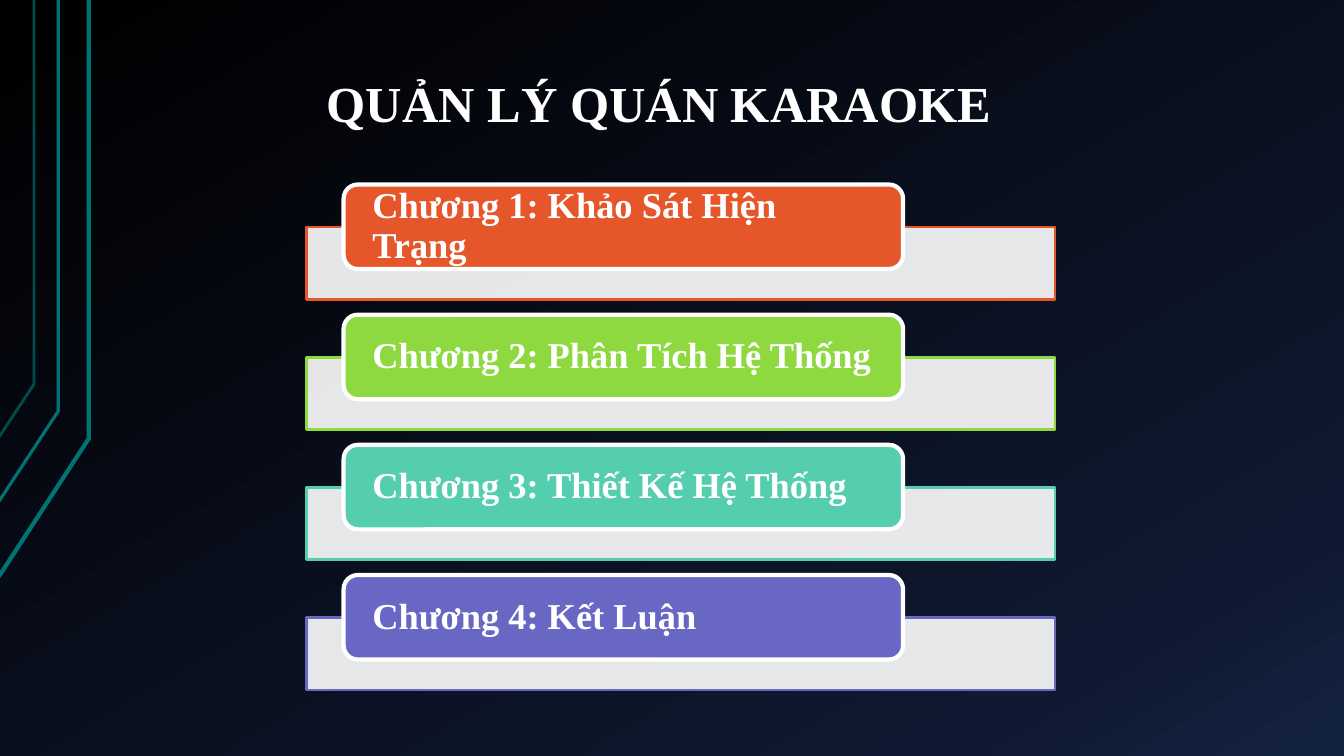
from copy import deepcopy
from dataclasses import dataclass

from lxml import etree
from pptx import Presentation
from pptx.dml.color import RGBColor
from pptx.enum.shapes import MSO_SHAPE
from pptx.enum.text import MSO_ANCHOR, MSO_AUTO_SIZE, PP_ALIGN
from pptx.oxml.ns import qn
from pptx.util import Cm, Pt

RECT, ROUNDED = MSO_SHAPE.RECTANGLE, MSO_SHAPE.ROUNDED_RECTANGLE
MIDDLE = MSO_ANCHOR.MIDDLE
LEFT, CENTER = PP_ALIGN.LEFT, PP_ALIGN.CENTER
GROW = MSO_AUTO_SIZE.SHAPE_TO_FIT_TEXT

FONT = "Times New Roman"
WHITE = "FFFFFF"
BACKGROUND_STOPS = [(0, "000000"), (0.85, "0F1931"), (1, "142242")]
CHAPTER_PITCH = 3.28


@dataclass
class Chapter:
    title: str
    color: str


@dataclass
class CornerLine:
    """Line from the left edge up to a bend, then straight to the top."""
    start: tuple[float, float]
    bend: tuple[float, float]
    color: str
    width: float


CHAPTERS = [
    Chapter("Chương 1: Khảo Sát Hiện Trạng", "E5572B"),
    Chapter("Chương 2: Phân Tích Hệ Thống", "8ED940"),
    Chapter("Chương 3: Thiết Kế Hệ Thống", "55CEAF"),
    Chapter("Chương 4: Kết Luận", "6868C4"),
]
CORNER_LINES = [
    CornerLine((-0.03, 14.53), (2.24, 11.05), "007373", 3),
    CornerLine((-0.05, 12.67), (1.47, 10.36), "007373", 2.25),
    CornerLine((-0.03, 11.02), (0.86, 9.68), "004B4B", 2),
]


def rgb(value: str) -> RGBColor:
    return RGBColor.from_string(value)


def set_format(target, values: dict) -> None:
    for name, value in values.items():
        setattr(target, name, value)


def set_line(sp, color: str, width: float) -> None:
    sp.line.color.rgb = rgb(color)
    sp.line.width = Pt(width)
    sp.shadow.inherit = False


def set_background(s) -> None:
    fill = s.background.fill
    fill.gradient()
    fill.gradient_angle = 300
    stop_list = s.element.find(".//" + qn("a:gsLst"))
    stop_list.append(deepcopy(stop_list[-1]))
    for stop, (position, color) in zip(fill.gradient_stops, BACKGROUND_STOPS):
        stop.position = position
        stop.color.rgb = rgb(color)


def add_corner_line(s, line: CornerLine) -> None:
    start_x, start_y = line.start
    bend_x, bend_y = line.bend
    builder = s.shapes.build_freeform(Cm(start_x), Cm(start_y))
    points = [(Cm(bend_x), Cm(bend_y)), (Cm(bend_x), 0)]
    builder.add_line_segments(points, close=False)
    sp = builder.convert_to_shape()
    sp.fill.background()
    set_line(sp, line.color, line.width)


def add_box(s, preset, box: tuple, fill: str, line: str, width: float):
    sp = s.shapes.add_shape(preset, *(Cm(v) for v in box))
    sp.fill.solid()
    sp.fill.fore_color.rgb = rgb(fill)
    set_line(sp, line, width)
    return sp


def set_opacity(sp, percent: int) -> None:
    color = sp.element.spPr.find(qn("a:solidFill")).find(qn("a:srgbClr"))
    etree.SubElement(color, qn("a:alpha")).set("val", str(percent * 1000))


def write_text(sp, text: str, size: float, align, frame: dict):
    tf = sp.text_frame
    set_format(tf, frame)
    p = tf.paragraphs[0]
    p.alignment = align
    r = p.add_run()
    r.text = text
    set_format(r.font, {"name": FONT, "size": Pt(size), "bold": True})
    r.font.color.rgb = rgb(WHITE)
    return p


def add_chapter(s, chapter: Chapter, offset: float) -> None:
    bar = add_box(s, RECT, (7.72, 5.72 + offset, 18.87, 1.83),
                  WHITE, chapter.color, 2)
    set_opacity(bar, 90)
    label = add_box(s, ROUNDED, (8.66, 4.65 + offset, 14.1, 2.13),
                    chapter.color, WHITE, 3)
    frame = {"word_wrap": True, "vertical_anchor": MIDDLE,
             "margin_left": Cm(0.62), "margin_right": Cm(0.5),
             "margin_top": 0, "margin_bottom": 0}
    p = write_text(label, chapter.title, 26, LEFT, frame)
    p.line_spacing = 0.9


def main() -> None:
    prs = Presentation()
    prs.slide_width, prs.slide_height = Cm(33.87), Cm(19.05)
    s = prs.slides.add_slide(prs.slide_layouts[6])
    set_background(s)
    for line in CORNER_LINES:
        add_corner_line(s, line)
    for i, chapter in enumerate(CHAPTERS):
        add_chapter(s, chapter, i * CHAPTER_PITCH)
    title = s.shapes.add_textbox(Cm(7.9), Cm(1.7), Cm(17.42), Cm(1.8))
    write_text(title, "QUẢN LÝ QUÁN KARAOKE", 36, CENTER,
               {"word_wrap": False, "auto_size": GROW})
    prs.save("out.pptx")


if __name__ == "__main__":
    main()
